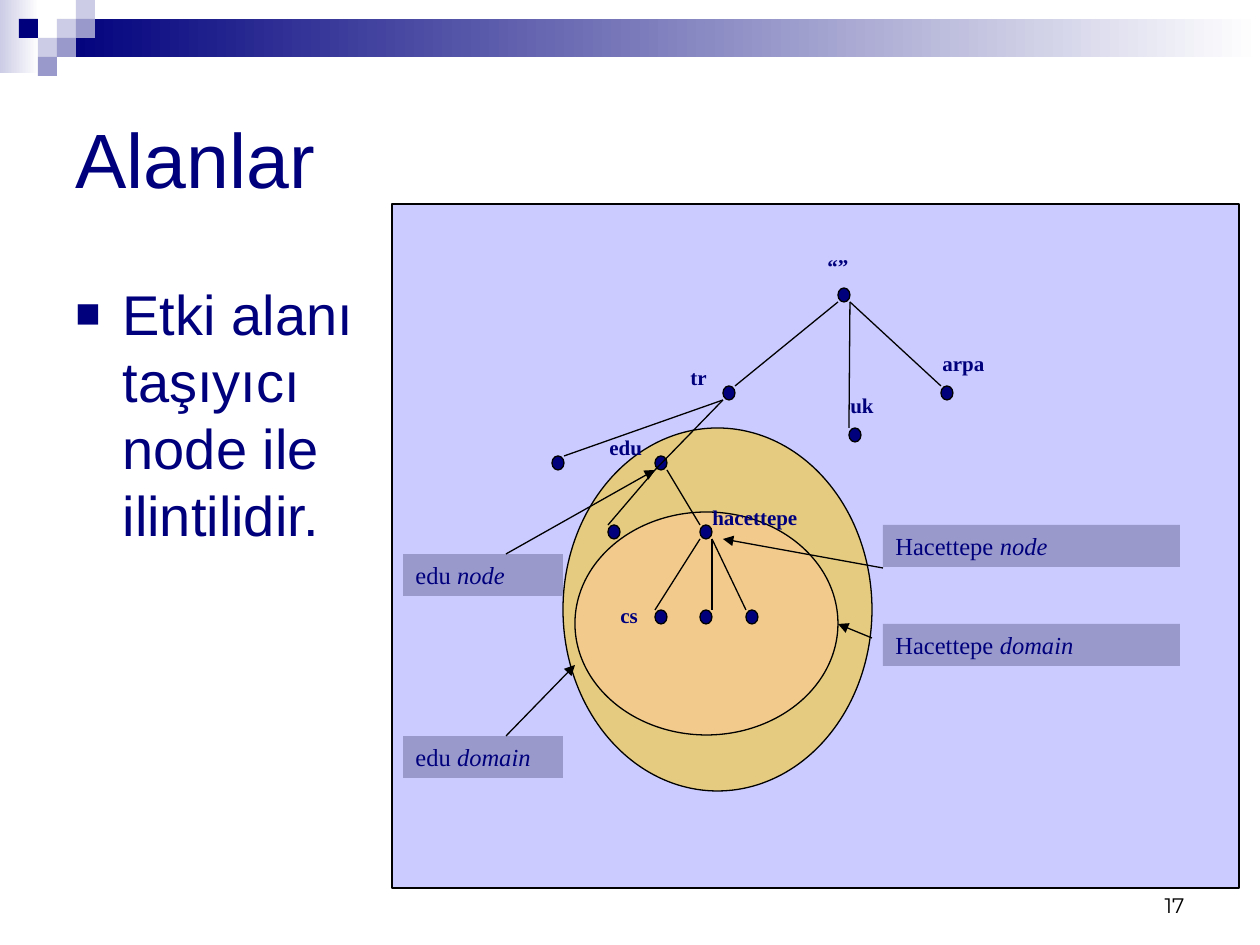
from dataclasses import dataclass

from lxml.etree import SubElement
from pptx import Presentation
from pptx.dml.color import RGBColor
from pptx.enum.shapes import MSO_CONNECTOR, MSO_SHAPE
from pptx.enum.text import MSO_ANCHOR, PP_ALIGN
from pptx.oxml.ns import qn
from pptx.util import Pt


@dataclass(frozen=True)
class Theme:
    navy: str = "00007D"
    black: str = "000000"
    white: str = "FFFFFF"
    lilac: str = "CCCCE6"
    violet: str = "9999CC"
    panel: str = "9999FF"
    gold: str = "FFCC00"
    peach: str = "FFCC99"
    sans: str = "Arial"
    serif: str = "Times New Roman"
    number_font: str = "Montserrat"
    title: int = 44
    body: int = 32
    callout: int = 14
    label: int = 12
    line: float = 0.75


T = Theme()
SCALE = 914400 / 126  # EMU per px


def px(n):
    return round(n * SCALE)


def rgb(color):
    return RGBColor.from_string(color)


def add_shape(s, kind, x, y, w, h, fill, fade_to=None, line=None, alpha=None):
    sp = s.shapes.add_shape(kind, px(x), px(y), px(w), px(h))
    sp.shadow.inherit = False
    if fade_to:
        sp.fill.gradient()
        sp.fill.gradient_angle = 0
        for stop, color in zip(sp.fill.gradient_stops, (fill, fade_to)):
            stop.color.rgb = rgb(color)
    else:
        sp.fill.solid()
        sp.fill.fore_color.rgb = rgb(fill)
    if alpha:
        clr = sp.fill._xPr.find(qn("a:solidFill"))[0]
        SubElement(clr, qn("a:alpha"), val=str(alpha * 1000))
    if line:
        sp.line.color.rgb = rgb(line)
        sp.line.width = Pt(T.line)
    else:
        sp.line.fill.background()
    return sp


def add_line(s, x1, y1, x2, y2, arrow=False):
    c = s.shapes.add_connector(MSO_CONNECTOR.STRAIGHT, px(x1), px(y1), px(x2), px(y2))
    c.line.color.rgb = rgb(T.black)
    c.line.width = Pt(T.line)
    if arrow:
        SubElement(c.line._get_or_add_ln(), qn("a:tailEnd"), type="triangle")
    SubElement(c._element.spPr, qn("a:effectLst"))
    return c


def write(sp, text, italic_tail="", size=12, font=T.serif, color=T.navy, bold=False,
          align=PP_ALIGN.LEFT, anchor=MSO_ANCHOR.TOP, bullet=None):
    tf = sp.text_frame
    tf.word_wrap = True
    tf.vertical_anchor = anchor
    p = tf.paragraphs[0]
    p.alignment = align
    if bullet:
        pPr = p._p.get_or_add_pPr()
        pPr.set("marL", "342900")
        pPr.set("indent", "-342900")
        clr = SubElement(pPr, qn("a:buClr"))
        SubElement(clr, qn("a:srgbClr"), val=color)
        SubElement(pPr, qn("a:buSzPct"), val="75000")
        SubElement(pPr, qn("a:buFont"), typeface=font)
        SubElement(pPr, qn("a:buChar"), char=bullet)
    for part, italic in ((text, False), (italic_tail, True)):
        if part:
            r = p.add_run()
            r.text = part
            r.font.size = Pt(size)
            r.font.name = font
            r.font.bold = bold
            r.font.italic = italic
            r.font.color.rgb = rgb(color)


def add_text(s, x, y, w, h, text, **fmt):
    write(s.shapes.add_textbox(px(x), px(y), px(w), px(h)), text, **fmt)


def header(s, x, y, w):
    tile = 19
    add_shape(s, MSO_SHAPE.RECTANGLE, x, y, 39, 73, T.lilac, fade_to=T.white)
    add_shape(s, MSO_SHAPE.RECTANGLE, x + 3 * tile, y + tile, w - 3 * tile, 2 * tile,
              T.navy, fade_to=T.white)
    # Mosaic tiles as column, row, colour
    for col, row, color in [(3, 1, T.lilac), (4, 0, T.lilac), (4, 1, T.violet),
                            (2, 2, T.lilac), (1, 1, T.navy), (3, 2, T.violet),
                            (2, 3, T.violet)]:
        add_shape(s, MSO_SHAPE.RECTANGLE, x + col * tile, y + row * tile, tile, tile, color)


def domain_tree(s, x, y, w, h):
    add_shape(s, MSO_SHAPE.RECTANGLE, x, y, w, h, T.panel, line=T.black, alpha=50)

    # Domains
    for dx, dy, dw, dh, color in [(171, 224, 309, 363, T.gold), (183, 308, 263, 223, T.peach)]:
        add_shape(s, MSO_SHAPE.OVAL, x + dx, y + dy, dw, dh, color, line=T.black, alpha=50)

    # Nodes by centre
    half_w, half_h = 6, 7
    nodes = {
        "root": (452, 91),
        "tr": (337, 189), "arpa": (555, 189), "uk": (463, 231),
        "tr_left": (166, 259), "edu": (269, 259),
        "edu_left": (222, 328), "hacettepe": (314, 328),
        "cs": (269, 413), "middle": (314, 413), "right": (360, 413),
    }
    for cx, cy in nodes.values():
        add_shape(s, MSO_SHAPE.OVAL, x + cx - half_w, y + cy - half_h, 2 * half_w, 2 * half_h,
                  T.navy, line=T.black)

    # Branches: parent, its lower corner (-1 left, 1 right), child, child's corner
    for parent, side, child, (end_x, end_y) in [
        ("root", -1, "tr", (1, -1)),
        ("root", 1, "arpa", (-1, -1)),
        ("root", 1, "uk", (-1, -1)),
        ("tr", -1, "tr_left", (1, -1)),
        ("tr", -1, "edu", (-1, 1)),
        ("edu", -1, "edu_left", (-1, -1)),
        ("edu", 1, "hacettepe", (-1, -1)),
        ("hacettepe", -1, "cs", (-1, -1)),
        ("hacettepe", 1, "middle", (1, -1)),
        ("hacettepe", 1, "right", (-1, -1)),
    ]:
        (px1, py1), (px2, py2) = nodes[parent], nodes[child]
        add_line(s, x + px1 + side * half_w, y + py1 + half_h,
                 x + px2 + end_x * half_w, y + py2 + end_y * half_h)

    # Node labels
    for text, dx, dy, dw in [("“”", 423, 43, 68), ("arpa", 538, 140, 149), ("tr", 286, 154, 92),
                             ("edu", 205, 224, 160), ("hacettepe", 308, 294, 137),
                             ("uk", 446, 182, 149), ("cs", 216, 392, 160)]:
        add_text(s, x + dx, y + dy, dw, 38, text, size=T.label, bold=True)

    # Callouts, each with its arrow
    for name, kind, dx, dy, dw, (x1, y1, x2, y2) in [
        ("Hacettepe ", "node", 491, 321, 297, (491, 364, 331, 335)),
        ("Hacettepe ", "domain", 491, 420, 297, (480, 434, 446, 420)),
        ("edu ", "node", 11, 350, 160, (114, 350, 263, 266)),
        ("edu ", "domain", 11, 532, 160, (114, 532, 183, 461)),
    ]:
        sp = add_shape(s, MSO_SHAPE.RECTANGLE, x + dx, y + dy, dw, 42, T.violet)
        write(sp, name, italic_tail=kind, size=T.callout)
        add_line(s, x + x1, y + y1, x + x2, y + y2, arrow=True)


def main():
    prs = Presentation()
    prs.slide_width, prs.slide_height = px(1260), px(945)
    s = prs.slides.add_slide(prs.slide_layouts[6])

    header(s, 0, 0, 1260)
    add_text(s, 903, 861, 294, 63, "17", size=T.label, font=T.number_font, color=T.black,
             align=PP_ALIGN.RIGHT, anchor=MSO_ANCHOR.BOTTOM)
    add_text(s, 63, 63, 1134, 189, "Alanlar", size=T.title, font=T.sans,
             anchor=MSO_ANCHOR.MIDDLE)
    add_text(s, 63, 273, 349, 536, "Etki alanı taşıyıcı node ile ilintilidir.",
             size=T.body, font=T.sans, bullet="■")
    domain_tree(s, 392, 204, 847, 684)

    prs.save("out.pptx")


if __name__ == "__main__":
    main()
